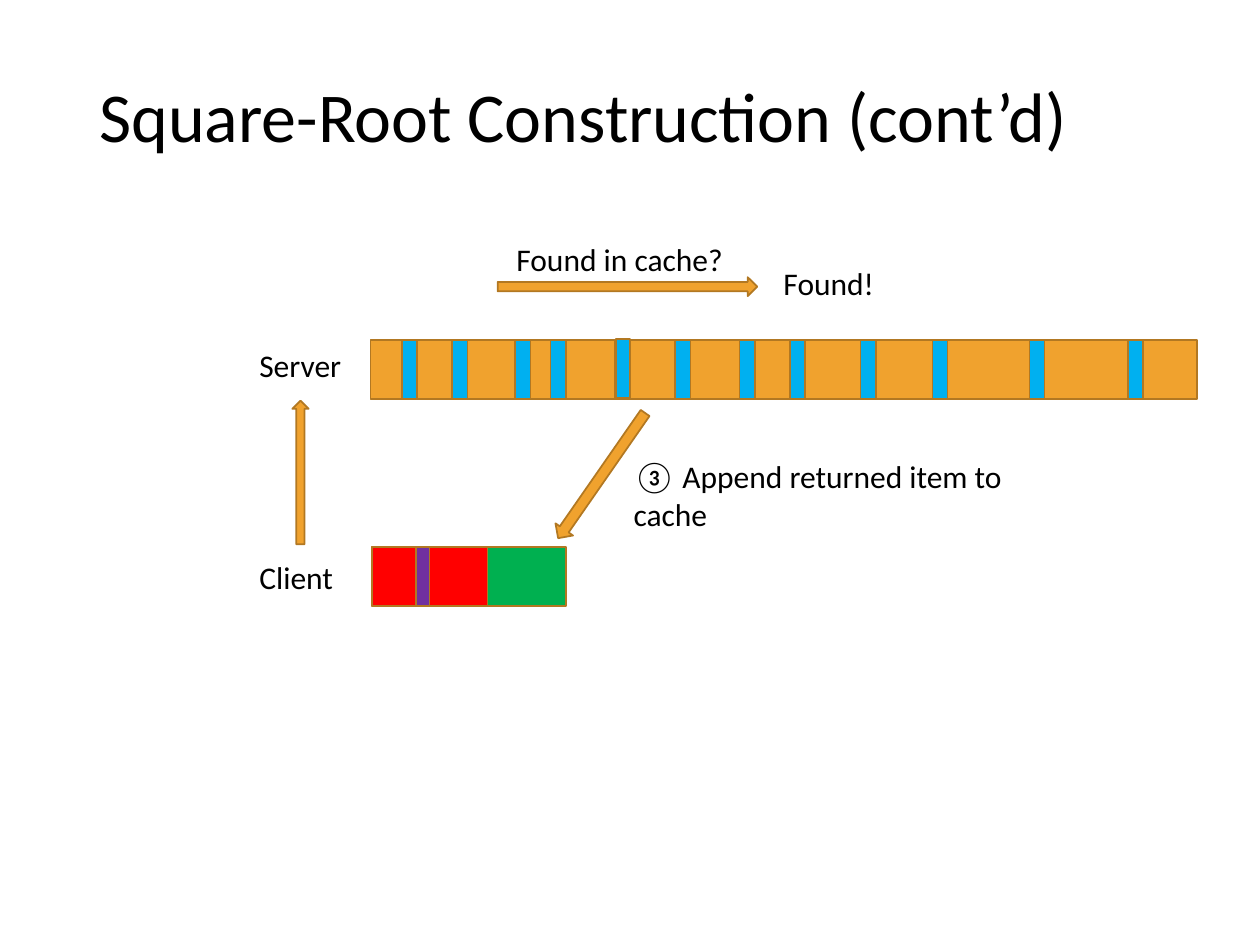
import pptx
import pptx.util
import pptx.dml.color
import pptx.enum.shapes
import pptx.enum.text

Inches = pptx.util.Inches
Shape = pptx.enum.shapes.MSO_SHAPE
Anchor = pptx.enum.text.MSO_ANCHOR

COLORS = {
    "text": "000000",
    "store": "F0A22E",
    "outline": "B27822",
    "dummy": "00B0F0",
    "cache": "FF0000",
    "free": "00B050",
    "item": "7030A0",
}
BAR_HEIGHT = 0.47
SLOT_WIDTH = 0.12
SLOT_OFFSETS = [0.25, 0.65, 1.15, 1.43, 1.94, 2.42, 2.93, 3.33, 3.89, 4.46, 5.23, 6.01]


def color(name):
    return pptx.dml.color.RGBColor.from_string(COLORS[name])


def add_block(page, kind, left, top, width, height, fill, rotation=0):
    shape = page.shapes.add_shape(kind, Inches(left), Inches(top), Inches(width), Inches(height))
    shape.shadow.inherit = False
    shape.fill.solid()
    shape.fill.fore_color.rgb = color(fill)
    shape.line.color.rgb = color("outline")
    shape.line.width = pptx.util.Pt(1)
    shape.rotation = rotation


def add_text(page, text, left, top, width, height=0.4, size=18, wrap=False):
    box = page.shapes.add_textbox(Inches(left), Inches(top), Inches(width), Inches(height))
    frame = box.text_frame
    frame.word_wrap = wrap
    frame.text = text
    font = frame.paragraphs[0].runs[0].font
    font.name = "Calibri"
    font.size = pptx.util.Pt(size)
    font.color.rgb = color("text")
    return frame


def add_title(page, left, top, width, height):
    frame = add_text(page, "Square-Root Construction (cont’d)", left, top, width, height, 40, True)
    frame.vertical_anchor = Anchor.MIDDLE
    frame.paragraphs[0].line_spacing = 0.9


def add_lookup(page, left, top):
    add_block(page, Shape.RIGHT_ARROW, left, top + 0.34, 2.06, 0.15, "store")
    add_text(page, "Found in cache?", left + 0.05, top, 1.86)
    add_text(page, "Found!", left + 2.17, top + 0.19, 0.93)


def add_server(page, left, top):
    bar_left = left + 0.98
    add_text(page, "Server", left, top, 0.86)
    add_block(page, Shape.RECTANGLE, bar_left, top, 6.56, BAR_HEIGHT, "store")
    for offset in SLOT_OFFSETS:
        add_block(page, Shape.RECTANGLE, bar_left + offset, top, SLOT_WIDTH, BAR_HEIGHT, "dummy")
    add_block(page, Shape.RECTANGLE, bar_left + 1.95, top - 0.01, 0.11, BAR_HEIGHT, "dummy")


def add_client(page, left, top):
    bar_left = left + 0.99
    add_text(page, "Client", left, top + 0.04, 0.79)
    for offset, width, fill in [(0, 1.54, "free"), (0, 0.92, "cache"), (0.35, 0.11, "item")]:
        add_block(page, Shape.RECTANGLE, bar_left + offset, top, width, BAR_HEIGHT, fill)


def add_exchange(page, left, top):
    add_block(page, Shape.UP_ARROW, left, top + 0.01, 0.13, 1.14, "store")
    add_block(page, Shape.DOWN_ARROW, left + 2.37, top, 0.17, 1.21, "store", 34.8)
    add_text(page, "③ Append returned item to cache", left + 2.61, top + 0.41, 3.7, wrap=True)


def main():
    deck = pptx.Presentation()
    deck.slide_width = Inches(10)
    deck.slide_height = Inches(7.5)
    page = deck.slides.add_slide(deck.slide_layouts[6])
    add_title(page, 0.69, 0.52, 8.62, 0.86)
    add_lookup(page, 3.95, 1.86)
    add_server(page, 1.96, 2.7)
    add_client(page, 1.96, 4.34)
    add_exchange(page, 2.32, 3.17)
    deck.save("out.pptx")


if __name__ == "__main__":
    main()
